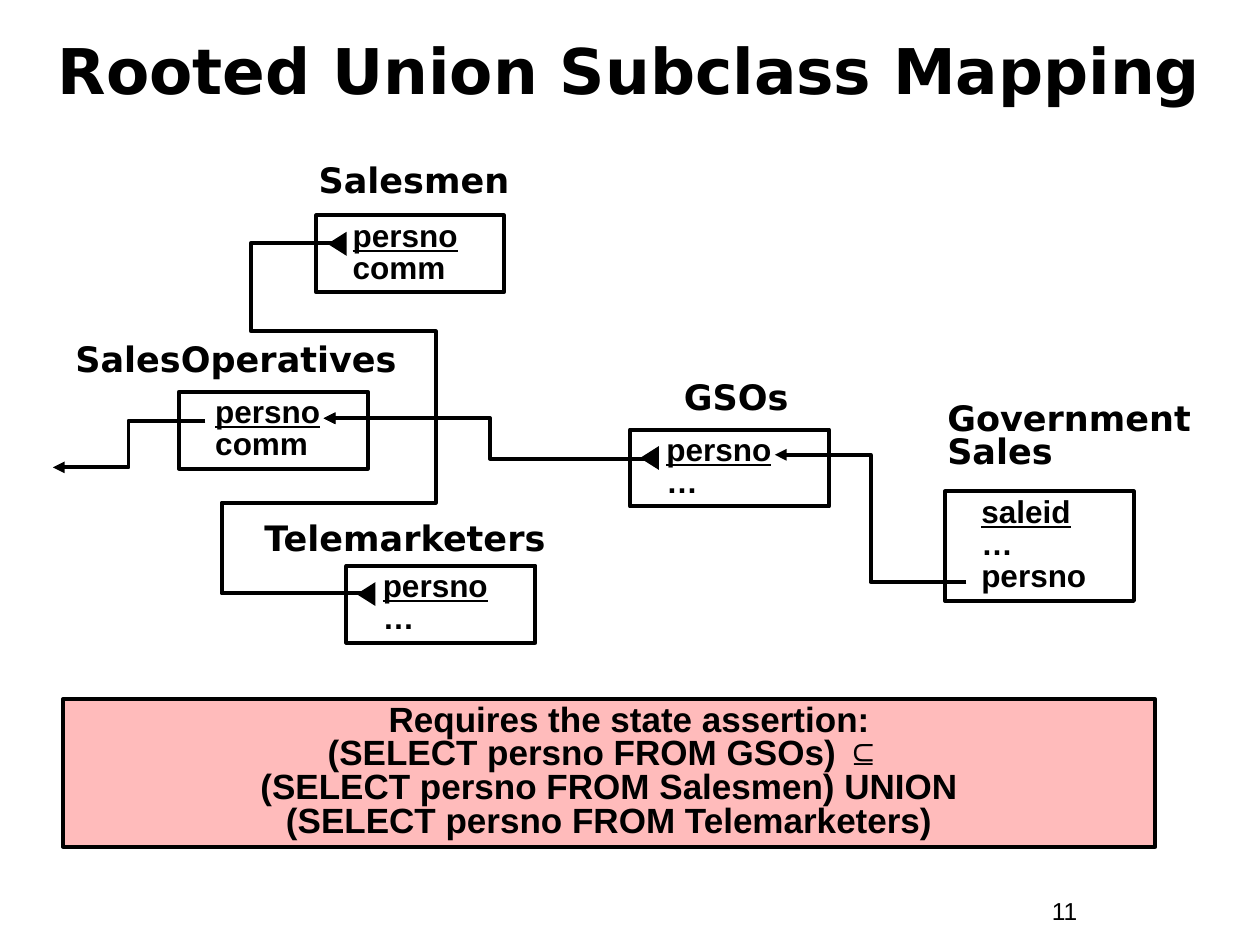
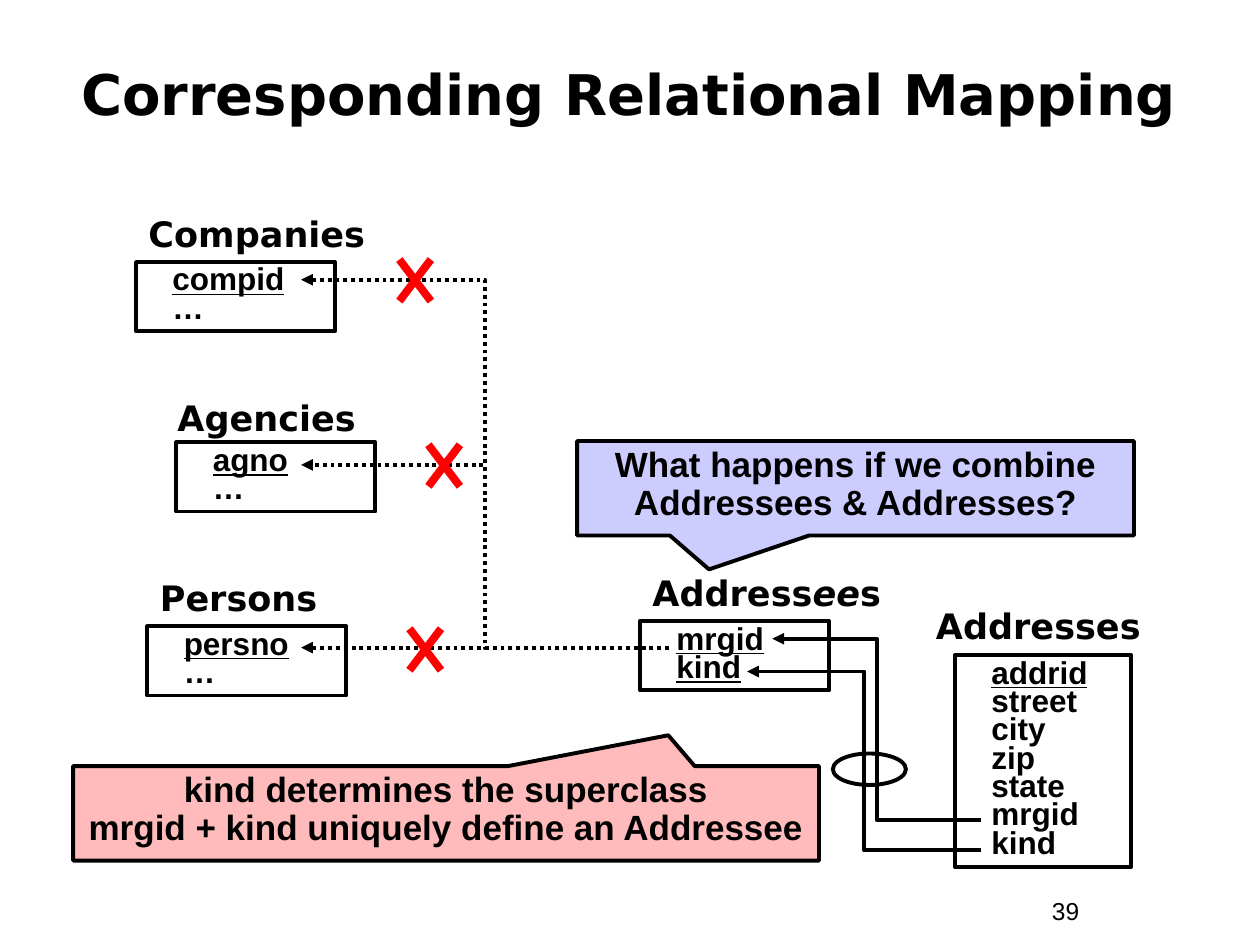
"""Build two slides on mapping subclass and union schemas to relations."""
from lxml.etree import SubElement
from pptx import Presentation
from pptx.dml.color import RGBColor
from pptx.enum.dml import MSO_LINE
from pptx.enum.shapes import MSO_CONNECTOR, MSO_SHAPE
from pptx.enum.text import MSO_ANCHOR, MSO_AUTO_SIZE, PP_ALIGN
from pptx.oxml.ns import qn
from pptx.util import Inches, Pt

BLACK, RED, PINK, LILAC = "000000", "FF0000", "FFBBBB", "CCCCFF"
HEAD, BODY = "DejaVu Sans", "Arial"
LINE = 2.25


def write(tf, lines, size, font, bold=True, align=PP_ALIGN.LEFT, spacing=1.0, indents=()):
    """Fill a text frame with lines, each a list of (text, style) runs."""
    tf.word_wrap = True
    tf.auto_size = MSO_AUTO_SIZE.NONE
    for i, runs in enumerate(lines):
        p = tf.paragraphs[0] if i == 0 else tf.add_paragraph()
        p.alignment = align
        p.line_spacing = spacing
        if i < len(indents):
            p._p.get_or_add_pPr().set("marL", str(Inches(indents[i])))
        for text, style in runs:
            r = p.add_run()
            r.text = text
            r.font.name = font
            r.font.size = Pt(size)
            r.font.bold = bold
            r.font.underline = style == "u"
            r.font.italic = style == "i"
            r.font.color.rgb = RGBColor.from_string(BLACK)


def link(s, x1, y1, x2, y2, mid=None, arrow=False, dotted=False, color=BLACK, width=LINE):
    """Draw a straight line, or an elbow that turns at x = mid."""
    kind = MSO_CONNECTOR.STRAIGHT if mid is None else MSO_CONNECTOR.ELBOW
    c = s.shapes.add_connector(kind, Inches(x1), Inches(y1), Inches(x2), Inches(y2))
    c.line.color.rgb = RGBColor.from_string(color)
    c.line.width = Pt(width)
    if dotted:
        c.line.dash_style = MSO_LINE.ROUND_DOT
    spPr = c._element.spPr
    if mid is not None:
        turn = round((mid - x1) / (x2 - x1) * 100000)
        guides = spPr.find(qn("a:prstGeom")).find(qn("a:avLst"))
        SubElement(guides, qn("a:gd"), name="adj1", fmla=f"val {turn}")
    if arrow:
        SubElement(spPr.find(qn("a:ln")), qn("a:tailEnd"), type="triangle")
    SubElement(spPr, qn("a:effectLst"))


pages = [
    {
        "title": "Rooted Union Subclass Mapping",
        "title_top": 0.09, "title_size": 36, "title_spacing": 1.0,
        "number": "11",
        "field_spacing": 0.85,
        "tables": [
            (2.51, 1.71, 1.49, 0.61, 1, ["persno", "comm"]),
            (2.75, 4.49, 1.5, 0.61, 1, ["persno", "…"]),
            (5, 3.41, 1.58, 0.61, 1, ["persno", "…"]),
            (7.5, 3.9, 1.5, 0.87, 1, ["saleid", "…", "persno"]),
            (1.42, 3.11, 1.5, 0.61, 1, ["persno", "comm"]),
        ],
        "labels": [
            (2.43, 1.21, 2.15, [[("Salesmen", "")]]),
            (2, 4.05, 2.5, [[("Telemarketers", "")]]),
            (5.33, 2.93, 1.33, [[("GSOs", "")]]),
            (7.42, 3.16, 2.33, [[("Government", "")], [("Sales", "")]]),
            (0.5, 2.63, 2.83, [[("SalesOperatives", "")]]),
        ],
        "links": [
            (7.67, 4.62, 6.15, 3.61, 6.91, True),
            (1.63, 3.34, 0.42, 3.71, 1.02, True),
            (2.72, 1.93, 3.13, 2.63, 1.99),
            (3.12, 2.63, 3.21, 2.63),
            (3.21, 2.63, 2.57, 3.32, 3.46, True),
            (2.96, 4.71, 3.13, 3.99, 1.76),
            (3.12, 3.99, 3.21, 3.99),
            (3.21, 3.99, 2.57, 3.32, 3.46, True),
            (5.21, 3.64, 2.57, 3.32, 3.89, True),
        ],
        "triangles": [(2.58, 1.86), (2.81, 4.64), (5.06, 3.56)],
        "crosses": [],
        "ovals": [],
        "notes": [
            (MSO_SHAPE.RECTANGLE, 0.5, 5.55, 8.67, 1.17, PINK, (), 0.8, (0.32,),
             ["Requires the state assertion:",
              "(SELECT persno FROM GSOs) ⊆ ",
              "(SELECT persno FROM Salesmen) UNION",
              "(SELECT persno FROM Telemarketers)"]),
        ],
    },
    {
        "title": "Corresponding Relational Mapping",
        "title_top": 0.33, "title_size": 32, "title_spacing": 0.8,
        "number": "39",
        "field_spacing": 0.75,
        "tables": [
            (5.08, 4.93, 1.5, 0.55, 2, ["mrgid", "kind"]),
            (7.58, 5.2, 1.4, 1.68, 1,
             ["addrid", "street", "city", "zip", "state", "mrgid", "kind"]),
            (1.08, 2.08, 1.58, 0.55, 1, ["compid", "…"]),
            (1.4, 3.51, 1.58, 0.55, 1, ["agno", "…"]),
            (1.17, 4.97, 1.58, 0.55, 1, ["persno", "…"]),
        ],
        "labels": [
            (5.08, 4.49, 2.15, [[("Address", ""), ("ee", "i"), ("s", "")]]),
            (7.33, 4.75, 2.15, [[("Addresses", "")]]),
            (1.08, 1.64, 2.15, [[("Companies", "")]]),
            (1.31, 3.1, 2.15, [[("Agencies", "")]]),
            (1.17, 4.53, 2.15, [[("Persons", "")]]),
        ],
        "links": [
            (7.79, 6.51, 6.13, 5.07, 6.96, True),
            (7.79, 6.75, 5.93, 5.33, 6.86, True),
            (5.31, 5.14, 2.39, 2.22, 3.85, True, True),
            (5.31, 5.14, 2.39, 3.69, 3.85, True, True),
            (5.31, 5.14, 2.39, 5.14, None, True, True),
        ],
        "triangles": [],
        "crosses": [(3.17, 2.06), (3.4, 3.53), (3.25, 4.99)],
        "ovals": [(6.61, 5.98, 0.58, 0.25)],
        "notes": [
            (MSO_SHAPE.RECTANGULAR_CALLOUT, 0.58, 6.08, 5.92, 0.75, PINK,
             (0.298, -0.826), 0.9, (),
             ["kind determines the superclass",
              "mrgid + kind uniquely define an Addressee"]),
            (MSO_SHAPE.RECTANGULAR_CALLOUT, 4.58, 3.5, 4.42, 0.75, LILAC,
             (-0.263, 0.859), 0.9, (),
             ["What happens if we combine Addressees & Addresses?"]),
        ],
    },
]

prs = Presentation()
prs.slide_width, prs.slide_height = Inches(10), Inches(7.5)

for page in pages:
    s = prs.slides.add_slide(prs.slide_layouts[5])
    title = s.shapes.title
    title.left, title.top = Inches(0.33), Inches(page["title_top"])
    title.width, title.height = Inches(9.33), Inches(0.92)
    title.text_frame.vertical_anchor = MSO_ANCHOR.MIDDLE
    write(title.text_frame, [[(page["title"], "")]], page["title_size"], HEAD,
          align=PP_ALIGN.CENTER, spacing=page["title_spacing"])

    number = s.shapes.add_textbox(Inches(8.25), Inches(7.06), Inches(0.92), Inches(0.34))
    write(number.text_frame, [[(page["number"], "")]], 14, BODY, bold=False)

    for x, y, w, h, keys, fields in page["tables"]:
        sp = s.shapes.add_shape(MSO_SHAPE.RECTANGLE, Inches(x), Inches(y), Inches(w), Inches(h))
        sp.shadow.inherit = False
        sp.fill.background()
        sp.line.color.rgb = RGBColor.from_string(BLACK)
        sp.line.width = Pt(LINE)
        sp.text_frame.vertical_anchor = MSO_ANCHOR.TOP
        lines = [[(field, "u" if i < keys else "")] for i, field in enumerate(fields)]
        write(sp.text_frame, lines, 18, BODY, spacing=page["field_spacing"],
              indents=[0.19] * len(fields))

    for x, y, w, lines in page["labels"]:
        height = 0.44 + 0.2 * (len(lines) - 1)
        label = s.shapes.add_textbox(Inches(x), Inches(y), Inches(w), Inches(height))
        write(label.text_frame, lines, 20, HEAD, spacing=0.8 if len(lines) > 1 else 1.0)

    for ends in page["links"]:
        link(s, *ends)

    for x, y in page["triangles"]:
        sp = s.shapes.add_shape(MSO_SHAPE.ISOSCELES_TRIANGLE, Inches(x), Inches(y),
                                Inches(0.19), Inches(0.15))
        sp.rotation = 270
        sp.shadow.inherit = False
        sp.fill.solid()
        sp.fill.fore_color.rgb = RGBColor.from_string(BLACK)
        sp.line.fill.background()

    for x, y in page["crosses"]:
        for x1, x2 in ((x, x + 0.25), (x + 0.25, x)):
            link(s, x1, y, x2, y + 0.33, color=RED, width=4.5)

    for x, y, w, h in page["ovals"]:
        sp = s.shapes.add_shape(MSO_SHAPE.OVAL, Inches(x), Inches(y), Inches(w), Inches(h))
        sp.shadow.inherit = False
        sp.fill.background()
        sp.line.color.rgb = RGBColor.from_string(BLACK)
        sp.line.width = Pt(LINE)

    for shape, x, y, w, h, fill, tip, spacing, indents, lines in page["notes"]:
        sp = s.shapes.add_shape(shape, Inches(x), Inches(y), Inches(w), Inches(h))
        for i, value in enumerate(tip):
            sp.adjustments[i] = value
        sp.shadow.inherit = False
        sp.fill.solid()
        sp.fill.fore_color.rgb = RGBColor.from_string(fill)
        sp.line.color.rgb = RGBColor.from_string(BLACK)
        sp.line.width = Pt(LINE)
        sp.text_frame.vertical_anchor = MSO_ANCHOR.TOP
        write(sp.text_frame, [[(line, "")] for line in lines], 20, BODY,
              align=PP_ALIGN.CENTER, spacing=spacing, indents=indents)

prs.save("out.pptx")
